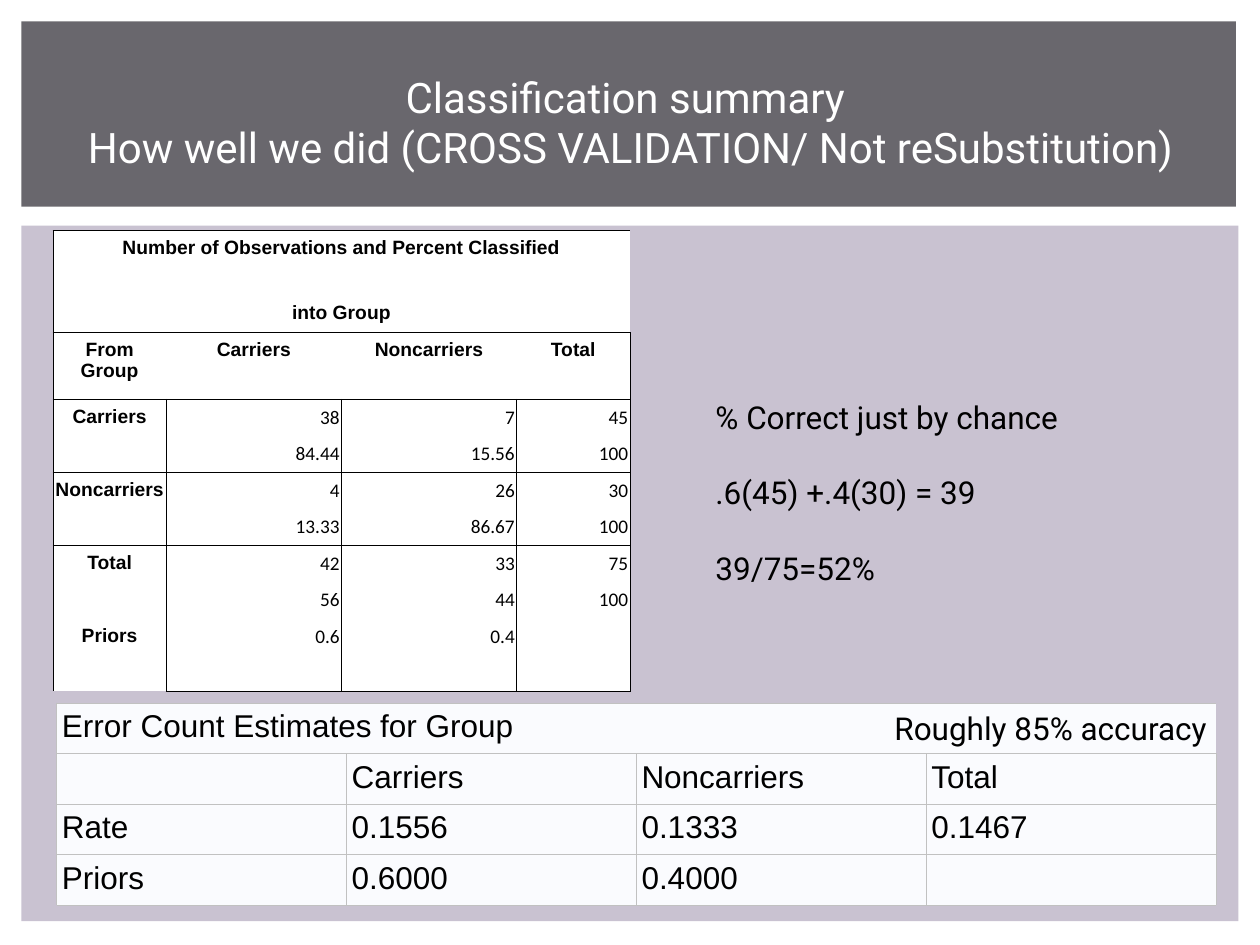
from dataclasses import dataclass
from typing import NamedTuple

from lxml import etree
from pptx import Presentation
from pptx.dml.color import RGBColor
from pptx.enum.shapes import MSO_SHAPE
from pptx.enum.text import MSO_ANCHOR, PP_ALIGN
from pptx.oxml.ns import qn
from pptx.util import Inches, Pt

LEFT, MID, RIGHT = PP_ALIGN.LEFT, PP_ALIGN.CENTER, PP_ALIGN.RIGHT
TOP, MIDDLE = MSO_ANCHOR.TOP, MSO_ANCHOR.MIDDLE
RECT = MSO_SHAPE.RECTANGLE

WHITE = RGBColor(0xFF, 0xFF, 0xFF)
BLACK = RGBColor(0, 0, 0)
GREY = RGBColor(0x69, 0x67, 0x6D)
LILAC = RGBColor(0xC9, 0xC2, 0xD1)
PALE = RGBColor(0xFA, 0xFB, 0xFE)
SILVER = RGBColor(0xC1, 0xC1, 0xC1)

COLS, ROWS = 100, 75  # slide grid
UNIT = Inches(10) // COLS


class Box(NamedTuple):
    """A place on the slide grid, in columns and rows."""
    x: float
    y: float
    w: float
    h: float

    def emu(self) -> list[int]:
        return [round(v * UNIT) for v in self]


class Style(NamedTuple):
    font: dict
    color: RGBColor = BLACK
    align: PP_ALIGN = LEFT


@dataclass
class Grid:
    """A table: `top` heading rows, horizontal lines at `rules`."""
    box: Box
    cols: list[float]
    rows: list[float]
    cells: list[list[str]]
    spans: list[tuple[int, int, int, int]]
    top: int
    rules: set[int]
    head: Style
    body: Style
    fill: RGBColor
    line: RGBColor
    width: float
    pad: float


def write(para, text: str, style: Style) -> None:
    para.alignment = style.align
    para.text = text
    for run in para.runs:
        for key, val in style.font.items():
            setattr(run.font, key, val)
        run.font.color.rgb = style.color


def panel(slide, box: Box, color: RGBColor) -> None:
    shape = slide.shapes.add_shape(RECT, *box.emu())
    shape.shadow.inherit = False
    shape.fill.solid()
    shape.fill.fore_color.rgb = color
    shape.line.fill.background()


def label(slide, box: Box, lines: list[str], style: Style,
          anchor: MSO_ANCHOR = TOP, gap: float = 0) -> None:
    frame = slide.shapes.add_textbox(*box.emu()).text_frame
    frame.word_wrap = True
    frame.vertical_anchor = anchor
    for i, text in enumerate(lines):
        para = frame.add_paragraph() if i else frame.paragraphs[0]
        write(para, text, style)
        if i and gap:
            para.space_before = Pt(gap)


def edge(cell, sides: dict[str, bool], color: RGBColor, width: float) -> None:
    """Draw the sides that are on and clear the rest."""
    props = cell._tc.get_or_add_tcPr()
    for i, (side, on) in enumerate(sides.items()):
        line = etree.Element(qn(f"a:ln{side}"), w=str(Pt(width)))
        if on:
            fill = etree.SubElement(line, qn("a:solidFill"))
            etree.SubElement(fill, qn("a:srgbClr"), val=str(color))
        else:
            etree.SubElement(line, qn("a:noFill"))
        props.insert(i, line)


def table(slide, grid: Grid) -> None:
    count, last = len(grid.rows), len(grid.cols) - 1
    tab = slide.shapes.add_table(count, last + 1, *grid.box.emu()).table
    tab.first_row = tab.horz_banding = False
    for col, size in zip(tab.columns, grid.cols):
        col.width = round(size * UNIT)
    for row, size in zip(tab.rows, grid.rows):
        row.height = round(size * UNIT)
    for r, row in enumerate(grid.cells):
        for c, text in enumerate(row):
            cell = tab.cell(r, c)
            inner = r >= grid.top
            style = grid.body if inner and c else grid.head
            cell.margin_left = cell.margin_right = Pt(grid.pad)
            cell.fill.solid()
            cell.fill.fore_color.rgb = grid.fill
            sides = {"L": inner or c == 0, "R": inner or c == last,
                     "T": r in grid.rules, "B": r + 1 in grid.rules}
            edge(cell, sides, grid.line, grid.width)
            para = cell.text_frame.paragraphs[0]
            write(para, text, style)
            if not text:
                size = str(round(style.font["size"].pt * 100))
                etree.SubElement(para._p, qn("a:endParaRPr"), sz=size)
    for r, c, down, right in grid.spans:
        tab.cell(r, c).merge(tab.cell(r + down - 1, c + right - 1))


PLAIN = Style({"name": "Arial", "size": Pt(18)})
BOLD = Style({"name": "Arial", "size": Pt(11), "bold": True}, align=MID)
NUM = Style({"name": "Calibri", "size": Pt(11), "bold": False}, align=RIGHT)
NOTE = Style({"name": "Roboto", "size": Pt(18)})
TITLE = Style({"name": "Roboto", "size": Pt(24)}, WHITE, MID)

ERRORS = Grid(
    Box(4.5, 55.8, 92, 15.3), [23] * 4, [15.3 / 4] * 4,
    [["Error Count Estimates for Group", "", "", ""],
     ["", "Carriers", "Noncarriers", "Total"],
     ["Rate", "0.1556", "0.1333", "0.1467"],
     ["Priors", "0.6000", "0.4000", ""]],
    [(0, 0, 1, 4)], 1, set(range(5)), PLAIN, PLAIN, PALE, SILVER, 0.28, 3)

COUNTS = Grid(
    Box(4.2, 18.3, 45.8, 36.6), [9, 13.9, 13.9, 9],
    [5.2, 2.9, 5.3] + [2.9] * 8,
    [["Number of Observations and Percent Classified", "", "", ""],
     ["into Group", "", "", ""],
     ["From Group", "Carriers", "Noncarriers", "Total"],
     ["Carriers", "38", "7", "45"],
     ["", "84.44", "15.56", "100"],
     ["Noncarriers", "4", "26", "30"],
     ["", "13.33", "86.67", "100"],
     ["Total", "42", "33", "75"],
     ["", "56", "44", "100"],
     ["Priors", "0.6", "0.4", ""],
     ["", "", "", ""]],
    [(r, 0, 1, 4) for r in (0, 1)] + [(r, 0, 2, 1) for r in range(3, 11, 2)],
    3, {0, 2, 3, 5, 7, 11}, BOLD, NUM, WHITE, BLACK, 0.45, 1)


def main() -> None:
    deck = Presentation()
    deck.slide_width, deck.slide_height = COLS * UNIT, ROWS * UNIT
    slide = deck.slides.add_slide(deck.slide_layouts[6])
    panel(slide, Box(1.7, 17.9, 96.6, 55.2), LILAC)
    panel(slide, Box(1.7, 1.7, 96.4, 14.7), GREY)
    label(slide, Box(4.2, 3.9, 91.7, 11.5),
          ["Classification summary \vHow well we did "
           "(CROSS VALIDATION/ Not reSubstitution)"], TITLE, MIDDLE)
    table(slide, ERRORS)
    table(slide, COUNTS)
    label(slide, Box(70, 55.8, 29, 4), ["Roughly 85% accuracy"], NOTE)
    label(slide, Box(55.8, 31.1, 40, 16),
          ["% Correct just by chance", ".6(45) +.4(30) = 39", "39/75=52%"],
          NOTE, gap=21.5)
    deck.save("out.pptx")


if __name__ == "__main__":
    main()
